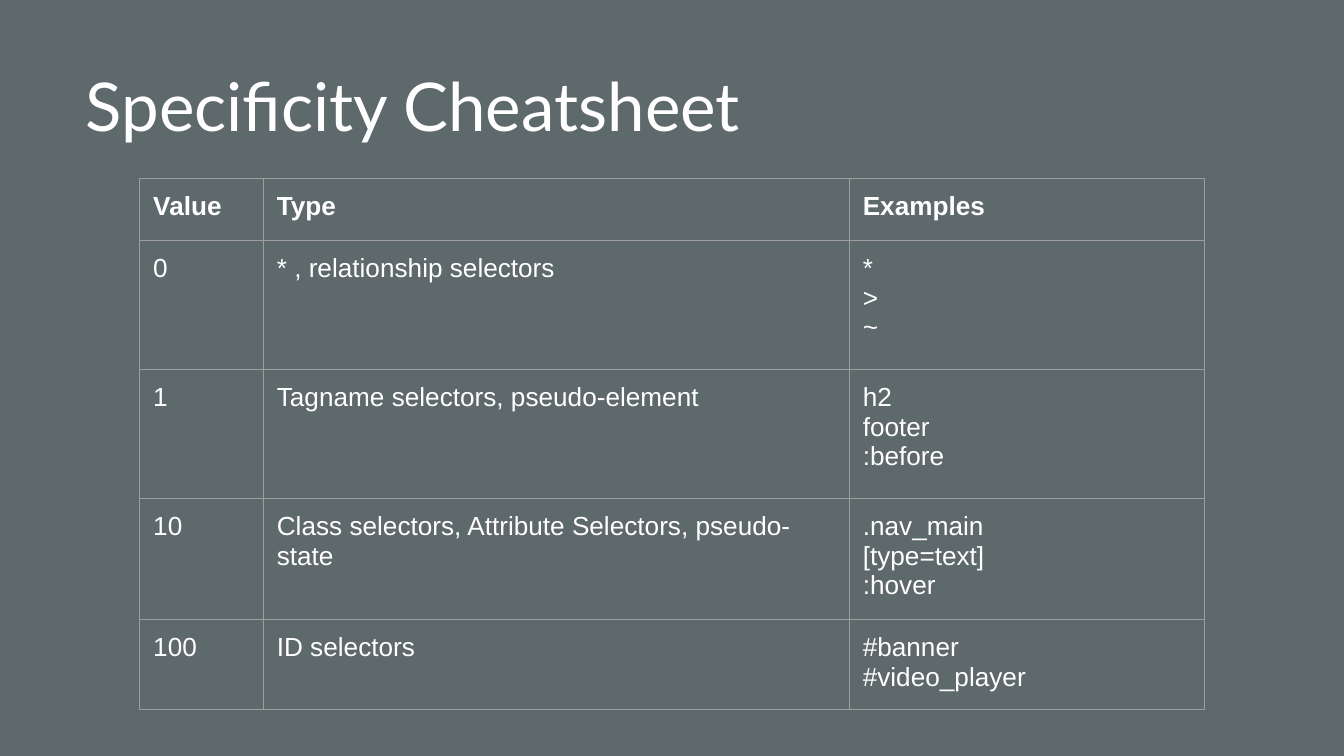
from lxml.etree import SubElement
from pptx import Presentation
from pptx.dml.color import RGBColor
from pptx.enum.text import MSO_ANCHOR
from pptx.oxml.ns import qn
from pptx.util import Inches, Pt

TITLE = "Specificity Cheatsheet"
HEADER = ("Value", "Type", ["Examples"])
SELECTORS = [
    ("0", "* , relationship selectors", ["*", ">", "~"]),
    ("1", "Tagname selectors, pseudo-element", ["h2", "footer", ":before"]),
    ("10", "Class selectors, Attribute Selectors, pseudo-state",
     [".nav_main", "[type=text]", ":hover"]),
    ("100", "ID selectors", ["#banner", "#video_player"]),
]
COLUMN_WIDTHS = (0.92, 4.36, 2.64)
ROW_HEIGHTS = (0.46, 0.96, 0.96, 0.71, 0.47)
TABLE_SIDE = 3.28

THEME = {
    "background": "5E696C", "text": "FFFFFF", "border": "9E9E9E",
    "title_font": "Lato", "title_size": 36,
    "table_font": "Arial", "table_size": 14,
    "border_width": 0.75, "inset": 0.1,
}


def set_insets(target):
    for side in ("left", "top", "right", "bottom"):
        setattr(target, f"margin_{side}", Inches(THEME["inset"]))


def style_text(frame, role, bold=False):
    """Apply the theme's font for a role, 'title' or 'table'."""
    for para in frame.paragraphs:
        para.font.name = THEME[f"{role}_font"]
        para.font.size = Pt(THEME[f"{role}_size"])
        para.font.bold = bold
        para.font.color.rgb = RGBColor.from_string(THEME["text"])


def add_borders(cell):
    """Outline a cell; the lines must come before its fill in the XML."""
    properties = cell._tc.get_or_add_tcPr()
    for edge in ("a:lnL", "a:lnR", "a:lnT", "a:lnB"):
        line = SubElement(properties, qn(edge), w=str(Pt(THEME["border_width"])))
        fill = SubElement(line, qn("a:solidFill"))
        SubElement(fill, qn("a:srgbClr"), val=THEME["border"])


def add_title(page):
    box = page.shapes.add_textbox(Inches(0.54), Inches(0.29), Inches(7.37), Inches(0.97))
    frame = box.text_frame
    frame.word_wrap = True
    frame.vertical_anchor = MSO_ANCHOR.MIDDLE
    set_insets(frame)
    frame.text = TITLE
    style_text(frame, "title")


def add_selector_table(page):
    rows = [HEADER, *SELECTORS]
    holder = page.shapes.add_table(
        len(rows), len(HEADER), Inches(1.04), Inches(1.33),
        Inches(TABLE_SIDE), Inches(TABLE_SIDE))
    table = holder.table
    table.horz_banding = False
    for column, width in zip(table.columns, COLUMN_WIDTHS):
        column.width = Inches(width)
    for row, height in zip(table.rows, ROW_HEIGHTS):
        row.height = Inches(height)
    # Resizing rows and columns resizes the holder; rows then grow to fit their text.
    holder.width = holder.height = Inches(TABLE_SIDE)
    for row_index, (value, kind, examples) in enumerate(rows):
        texts = (value, kind, "\n".join(examples))
        for cell, text in zip(table.rows[row_index].cells, texts):
            cell.text = text
            set_insets(cell)
            style_text(cell.text_frame, "table", bold=row_index == 0)
            add_borders(cell)
            cell.fill.background()


def main():
    deck = Presentation()
    deck.slide_width = Inches(10)
    deck.slide_height = deck.slide_width * 9 // 16
    page = deck.slides.add_slide(deck.slide_layouts[6])
    page.background.fill.solid()
    page.background.fill.fore_color.rgb = RGBColor.from_string(THEME["background"])
    add_title(page)
    add_selector_table(page)
    deck.save("out.pptx")


if __name__ == "__main__":
    main()
